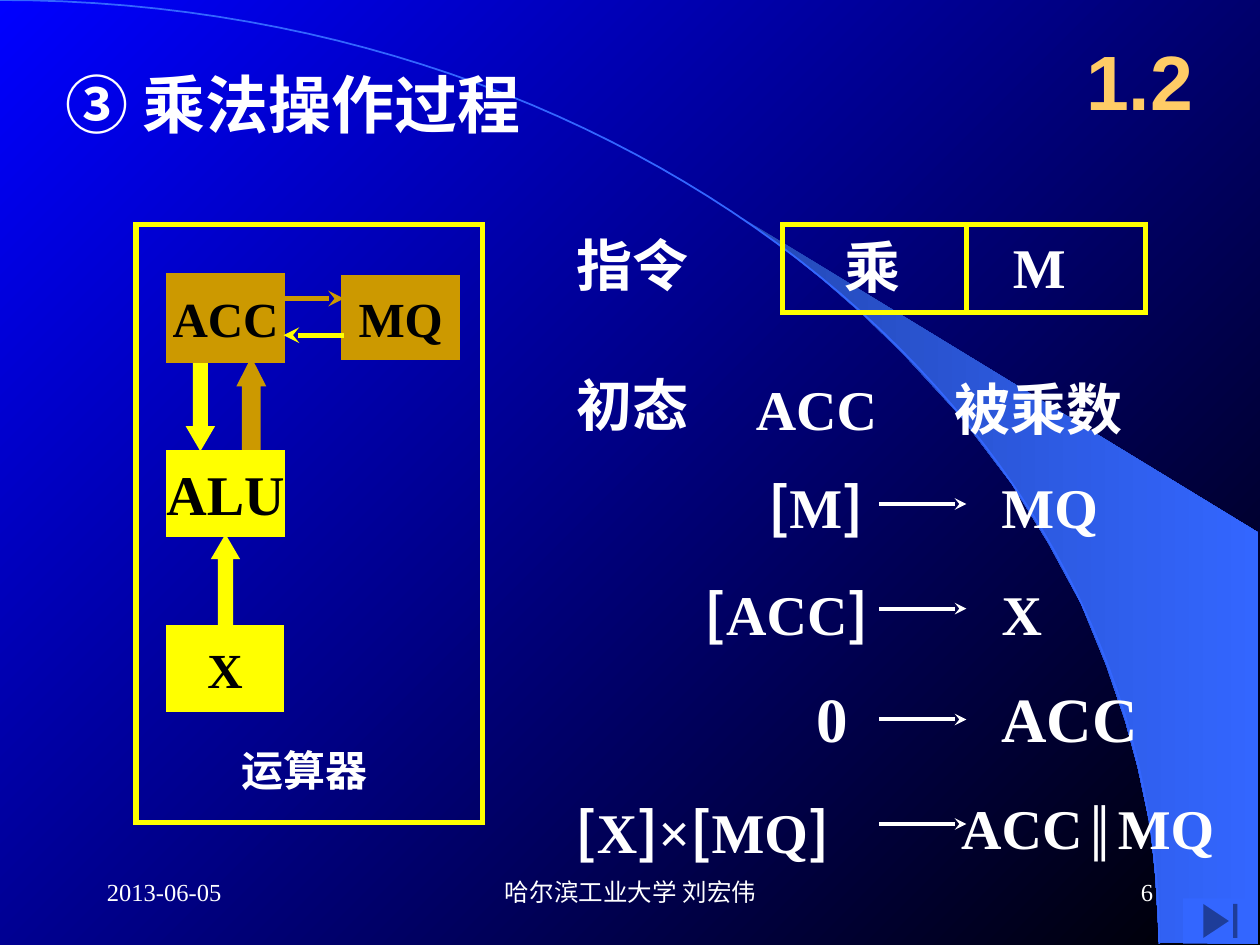
from dataclasses import dataclass
from itertools import groupby
from lxml.etree import SubElement
from pptx import Presentation
from pptx.dml.color import RGBColor as Rgb
from pptx.enum.shapes import MSO_CONNECTOR as Conn, MSO_SHAPE as Kind
from pptx.enum.text import MSO_ANCHOR as Anchor, MSO_AUTO_SIZE as Fit, PP_ALIGN as Align
from pptx.oxml.ns import qn
from pptx.util import Pt

PX = 9144
SERIF, SANS, HAN = "Times New Roman", "Arial", "Noto Sans CJK SC"
HEX = {"blue": "0000FF", "black": "000000", "white": "FFFFFF", "yellow": "FFFF00",
       "gold": "CC9900", "sand": "FFCC66", "sky": "3366FF", "dusk": "2449B6"}


@dataclass
class Label:
    text: str
    x: int
    y: int
    w: int
    h: int
    size: int = 32
    align: Align = Align.LEFT
    hue: str = "white"
    face: str = SERIF
    bold: bool = True
    wrap: bool = False
    grow: bool = True


@dataclass
class Block:
    x: int
    y: int
    w: int
    h: int
    hue: str
    text: str = ""
    size: int = 28
    fill: bool = True


@dataclass
class Flow:
    x: int
    y: int
    w: int
    h: int
    hue: str
    adj: tuple[float, float] = (0.495, 0.857)
    turn: int = 0


@dataclass
class Line:
    x1: int
    y1: int
    x2: int
    y2: int
    hue: str = "white"
    width: float = 2.25
    head: bool = True


def tint(name: str) -> Rgb:
    return Rgb.from_string(HEX[name])


def shade(fill, first: str, last: str, angle: int) -> None:
    fill.gradient()
    fill.gradient_angle = angle
    for stop, hue in zip(fill.gradient_stops, (first, last)):
        stop.color.rgb = tint(hue)


def style(char: str, size: int, face: str) -> tuple[str, int]:
    han = char in "[]③" or ord(char) > 11904
    return (HAN if han else face), (28 if char == "∥" else size)


def write(frame, text: str, size: int, hue: str, align: Align,
          face: str = SERIF, bold: bool = True) -> None:
    para = frame.paragraphs[0]
    para.alignment = align
    for (name, pts), chars in groupby(text, lambda c: style(c, size, face)):
        run = para.add_run()
        run.text = "".join(chars)
        font = run.font
        font.name, font.size, font.bold = name, Pt(pts), bold
        font.color.rgb = tint(hue)
        SubElement(font._element, qn("a:ea")).set("typeface", HAN)


def place(shapes, item: Label) -> None:
    box = shapes.add_textbox(item.x * PX, item.y * PX, item.w * PX, item.h * PX)
    frame = box.text_frame
    frame.word_wrap = item.wrap
    frame.auto_size = Fit.SHAPE_TO_FIT_TEXT if item.grow else Fit.NONE
    frame.vertical_anchor = Anchor.TOP if item.grow else Anchor.MIDDLE
    write(frame, item.text, item.size, item.hue, item.align, item.face, item.bold)
    if item.grow:
        frame.paragraphs[0].space_before = Pt(round(item.size * 0.2, 1))


def shape(shapes, kind: Kind, item: Block | Flow):
    form = shapes.add_shape(kind, item.x * PX, item.y * PX, item.w * PX, item.h * PX)
    form.shadow.inherit = False
    form.fill.solid()
    form.fill.fore_color.rgb = tint(item.hue)
    form.line.color.rgb = tint(item.hue)
    form.line.width = Pt(3)
    SubElement(form.line._get_or_add_ln(), qn("a:miter")).set("lim", "800000")
    return form


def block(shapes, item: Block) -> None:
    form = shape(shapes, Kind.RECTANGLE, item)
    if not item.fill:
        form.fill.background()
    if item.text:
        frame = form.text_frame
        frame.margin_left = frame.margin_right = frame.margin_top = frame.margin_bottom = 0
        frame.word_wrap = False
        frame.vertical_anchor = Anchor.MIDDLE
        write(frame, item.text, item.size, "black", Align.CENTER)


def flow(shapes, item: Flow) -> None:
    form = shape(shapes, Kind.UP_ARROW, item)
    form.adjustments[0], form.adjustments[1] = item.adj
    form.rotation = item.turn


def line(shapes, item: Line) -> None:
    ends = (n * PX for n in (item.x1, item.y1, item.x2, item.y2))
    link = shapes.add_connector(Conn.STRAIGHT, *ends)
    link.line.color.rgb = tint(item.hue)
    link.line.width = Pt(item.width)
    if item.head:
        SubElement(link.line._get_or_add_ln(), qn("a:tailEnd")).set("type", "stealth")
    SubElement(link._element.spPr, qn("a:effectLst"))


def trace(shapes, dots: list[tuple[float, float]], close: bool):
    first, *rest = [(round(x * PX), round(y * PX)) for x, y in dots]
    pen = shapes.build_freeform(*first)
    pen.add_line_segments(rest, close=close)
    form = pen.convert_to_shape()
    form.shadow.inherit = False
    return form


def curve(a: int, b: int, c: int, d: int, t: float) -> float:
    s = 1 - t
    return a * s**3 + 3 * b * s * s * t + 3 * c * s * t * t + d * t**3


MOON = [(920, 748), (999, 749), (999, 423), (589, 173), (624, 199), (653, 222),
        (685, 250), (716, 280), (762, 330), (803, 384), (832, 431), (858, 479),
        (878, 528), (893, 572), (903, 609), (913, 656), (917, 696)]
ARC = [(curve(0, 508, 920, 920, n / 60), curve(0, 0, 335, 749, n / 60)) for n in range(61)]

BLOCKS = [Block(108, 178, 275, 475, "yellow", fill=False),
          Block(621, 178, 288, 70, "yellow", fill=False),
          Block(134, 498, 89, 65, "yellow", "X"),
          Block(134, 359, 90, 65, "yellow", "ALU", 32),
          Block(134, 219, 90, 67, "gold", "ACC"),
          Block(273, 220, 90, 64, "gold", "MQ")]
FLOWS = [Flow(171, 428, 16, 69, "yellow"),
         Flow(151, 285, 16, 69, "yellow", turn=180),
         Flow(191, 288, 17, 67, "gold", (0.636, 0.98))]
LINES = [Line(273, 266, 225, 266, "yellow", 3),
         Line(225, 237, 273, 237, "gold", 3),
         Line(767, 177, 767, 249, "yellow", 3, False)]
LINES += [Line(698, y, 767, y) for y in (400, 483, 571, 654)]

MID, END = Align.CENTER, Align.RIGHT
LABELS = [Label("③ 乘法操作过程", 42, 47, 533, 70, 36, wrap=True),
          Label("1.2", 842, 17, 125, 92, 44, MID, "sand", SANS, wrap=True, grow=False),
          Label("运算器", 182, 586, 121, 50, 24),
          Label("指令", 448, 178, 132, 63),
          Label("乘", 660, 180, 65, 63),
          Label("M", 794, 180, 89, 63, wrap=True),
          Label("初态", 448, 289, 132, 63),
          Label("ACC", 590, 292, 150, 63, wrap=True),
          Label("被乘数", 748, 292, 190, 63, wrap=True),
          Label("[M]", 594, 370, 107, 63, align=MID),
          Label("MQ", 785, 370, 97, 63),
          Label("[ACC]", 544, 455, 161, 63, align=MID),
          Label("X", 785, 455, 52, 63),
          Label("0", 638, 534, 45, 70, 36),
          Label("ACC", 785, 534, 128, 70, 36),
          Label("[X]×[MQ]", 447, 628, 263, 63),
          Label("ACC∥MQ", 753, 625, 232, 63)]
FOOT = [("2013-06-05", 75, 208, Align.LEFT), ("哈尔滨工业大学 刘宏伟", 342, 317, MID),
        ("6", 717, 208, END)]
LABELS += [Label(text, x, 683, w, 50, 14, align, bold=False, wrap=True, grow=False)
           for text, x, w, align in FOOT]


def main() -> None:
    deck = Presentation()
    deck.slide_width, deck.slide_height = 1000 * PX, 750 * PX
    slide = deck.slides.add_slide(deck.slide_layouts[6])
    shade(slide.background.fill, "blue", "black", 315)
    shapes = slide.shapes
    moon = trace(shapes, MOON, True)
    shade(moon.fill, "dusk", "sky", 0)
    moon.line.fill.background()
    arc = trace(shapes, ARC, False)
    arc.fill.background()
    arc.line.color.rgb = tint("sky")
    arc.line.width = Pt(1)
    for draw, items in ((flow, FLOWS), (block, BLOCKS), (line, LINES), (place, LABELS)):
        for item in items:
            draw(shapes, item)
    button = shape(shapes, Kind.ACTION_BUTTON_END, Block(939, 713, 59, 36, "sky"))
    button.line.fill.background()
    deck.save("out.pptx")


if __name__ == "__main__":
    main()
